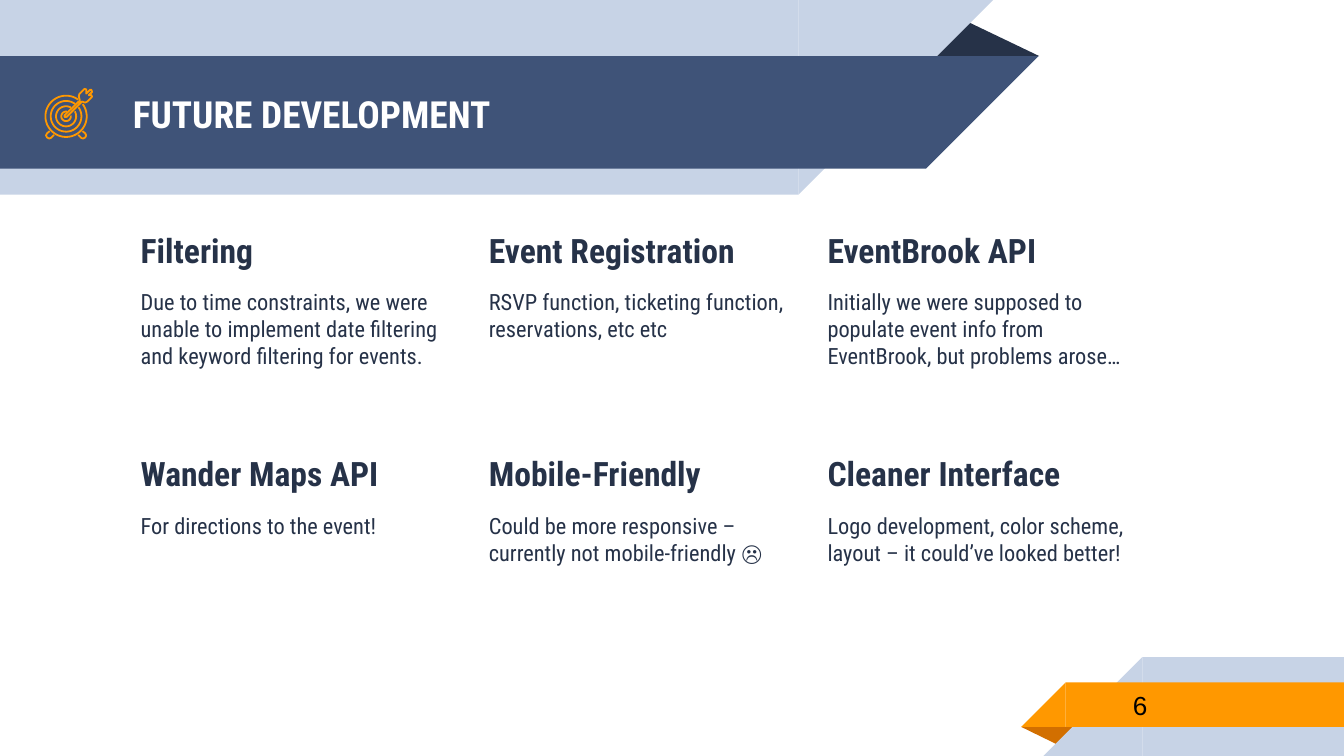
from itertools import product
from math import cos, radians, sin

from pptx import Presentation
from pptx.dml.color import RGBColor
from pptx.enum.shapes import MSO_SHAPE as Preset
from pptx.enum.text import MSO_ANCHOR as Anchor
from pptx.util import Cm, Pt

NAVY = RGBColor(0x26, 0x32, 0x48)
BLUE = RGBColor(0x3F, 0x53, 0x78)
PALE = RGBColor(0xC7, 0xD3, 0xE6)
ORANGE = RGBColor(0xFF, 0x98, 0x00)
RUST = RGBColor(0xD2, 0x6F, 0x00)
WHITE = RGBColor(0xFF, 0xFF, 0xFF)
BLACK = RGBColor(0x00, 0x00, 0x00)

CONDENSED = "Roboto Condensed"
TITLE = {"name": CONDENSED, "size": Pt(20), "bold": True}
HEADING = {"name": CONDENSED, "size": Pt(18), "bold": True}
DETAIL = {"name": CONDENSED, "size": Pt(12), "bold": False}
NUMBER = {"name": "Arial", "size": Pt(14)}
HEADING_GAPS = {"space_before": Pt(6)}
DETAIL_GAPS = {"space_before": Pt(10), "space_after": Pt(10)}

COLUMNS = (2.41, 8.99, 15.39)
ROWS = (4.09, 8.31)
TOPICS = [
    ("Filtering", "Due to time constraints, we were unable to implement "
                  "date filtering and keyword filtering for events."),
    ("Event Registration", "RSVP function, ticketing function, reservations, etc etc"),
    ("EventBrook API", "Initially we were supposed to populate event info from "
                       "EventBrook, but problems arose…"),
    ("Wander Maps API", "For directions to the event!"),
    ("Mobile-Friendly", "Could be more responsive – currently not mobile-friendly ☹"),
    ("Cleaner Interface", "Logo development, color scheme, layout – "
                          "it could’ve looked better!"),
]

TARGET_X, TARGET_Y = 1.25, 2.2
RINGS = [(0.39, 9), (0.29, 9), (0.19, 16), (0.09, 36)]
FOOT = [(0.23, 0.35), (0.29, 0.41), (0.32, 0.42), (0.36, 0.4),
        (0.38, 0.36), (0.36, 0.32), (0.31, 0.28)]
ARROW = [(1.73, 1.8), (1.68, 1.8), (1.74, 1.74), (1.73, 1.7), (1.7, 1.7),
         (1.63, 1.77), (1.63, 1.69), (1.6, 1.68), (1.5, 1.78), (1.49, 1.82),
         (1.51, 1.9), (1.22, 2.18), (1.22, 2.21), (1.26, 2.21), (1.55, 1.92),
         (1.61, 1.94), (1.65, 1.92), (1.74, 1.83)]


def apply_format(target, values):
    for attribute, value in values.items():
        setattr(target, attribute, value)


def add_block(slide, preset, box, colour, rotation=0):
    block = slide.shapes.add_shape(preset, *map(Cm, box))
    apply_format(block, {"rotation": rotation})
    block.shadow.inherit = False
    block.fill.solid()
    block.fill.fore_color.rgb = colour
    block.line.fill.background()
    return block


def add_fold(slide, box, colour, rotation=0):
    fold = add_block(slide, Preset.ISOSCELES_TRIANGLE, box, colour, rotation)
    fold.adjustments[0] = 0.324


def add_ribbon(slide, left, top, width, height, colour, slants_right):
    add_block(slide, Preset.RECTANGLE, (left, top, width, height), colour)
    tip_left, turn = (left + width, 90) if slants_right else (left - height, 270)
    add_block(slide, Preset.RIGHT_TRIANGLE, (tip_left, top, height, height), colour, turn)


def add_text(slide, box, paragraphs, colour, anchor=Anchor.TOP):
    frame = slide.shapes.add_textbox(*map(Cm, box)).text_frame
    apply_format(frame, {"word_wrap": True, "vertical_anchor": anchor})
    apply_format(frame, dict.fromkeys(
        ("margin_left", "margin_top", "margin_right", "margin_bottom"), Cm(0.25)))
    for index, (wording, font, gaps) in enumerate(paragraphs):
        paragraph = frame.add_paragraph() if index else frame.paragraphs[0]
        apply_format(paragraph, gaps)
        run = paragraph.add_run()
        run.text = wording
        apply_format(run.font, font)
        run.font.color.rgb = colour


def add_outline(slide, points, closed=False):
    start, *rest = [(Cm(x), Cm(y)) for x, y in points]
    builder = slide.shapes.build_freeform(*start)
    builder.add_line_segments(rest, close=closed)
    outline = builder.convert_to_shape()
    outline.shadow.inherit = False
    outline.fill.background()
    outline.line.color.rgb = ORANGE
    outline.line.width = Pt(0.96)


def add_target(slide):
    for radius, half_gap in RINGS:
        sweep = 360 - 2 * half_gap
        angles = [radians(half_gap - 45 + sweep * step / 60) for step in range(61)]
        add_outline(slide, [(TARGET_X + radius * cos(angle),
                             TARGET_Y + radius * sin(angle)) for angle in angles])
    for side in (-1, 1):
        add_outline(slide, [(TARGET_X + side * x, TARGET_Y + y) for x, y in FOOT])
    add_outline(slide, ARROW, closed=True)


def main():
    deck = Presentation()
    apply_format(deck, {"slide_width": Cm(25.4), "slide_height": Cm(14.29)})
    slide = deck.slides.add_slide(deck.slide_layouts[6])

    add_fold(slide, (17.48, 0.36, 2.16, 0.7), NAVY)
    add_ribbon(slide, 0, 0, 15.09, 3.68, PALE, True)
    add_ribbon(slide, 0, 1.06, 17.5, 2.13, BLUE, True)
    add_fold(slide, (19.3, 13.74, 1.09, 0.36), RUST, 180)
    add_ribbon(slide, 21.59, 12.42, 3.81, 1.87, PALE, False)
    add_ribbon(slide, 20.14, 12.9, 5.26, 0.84, ORANGE, False)

    add_text(slide, (2.26, 1.09, 14.6, 2.13),
             [("FUTURE DEVELOPMENT", TITLE, {})], WHITE, Anchor.MIDDLE)
    for (top, left), (heading, detail) in zip(product(ROWS, COLUMNS), TOPICS):
        add_text(slide, (left, top, 6.25, 4.22),
                 [(heading, HEADING, HEADING_GAPS), (detail, DETAIL, DETAIL_GAPS)], NAVY)
    add_text(slide, (21.16, 12.88, 4.14, 0.89), [("6", NUMBER, {})], BLACK, Anchor.MIDDLE)
    add_target(slide)

    deck.save("out.pptx")


if __name__ == "__main__":
    main()
